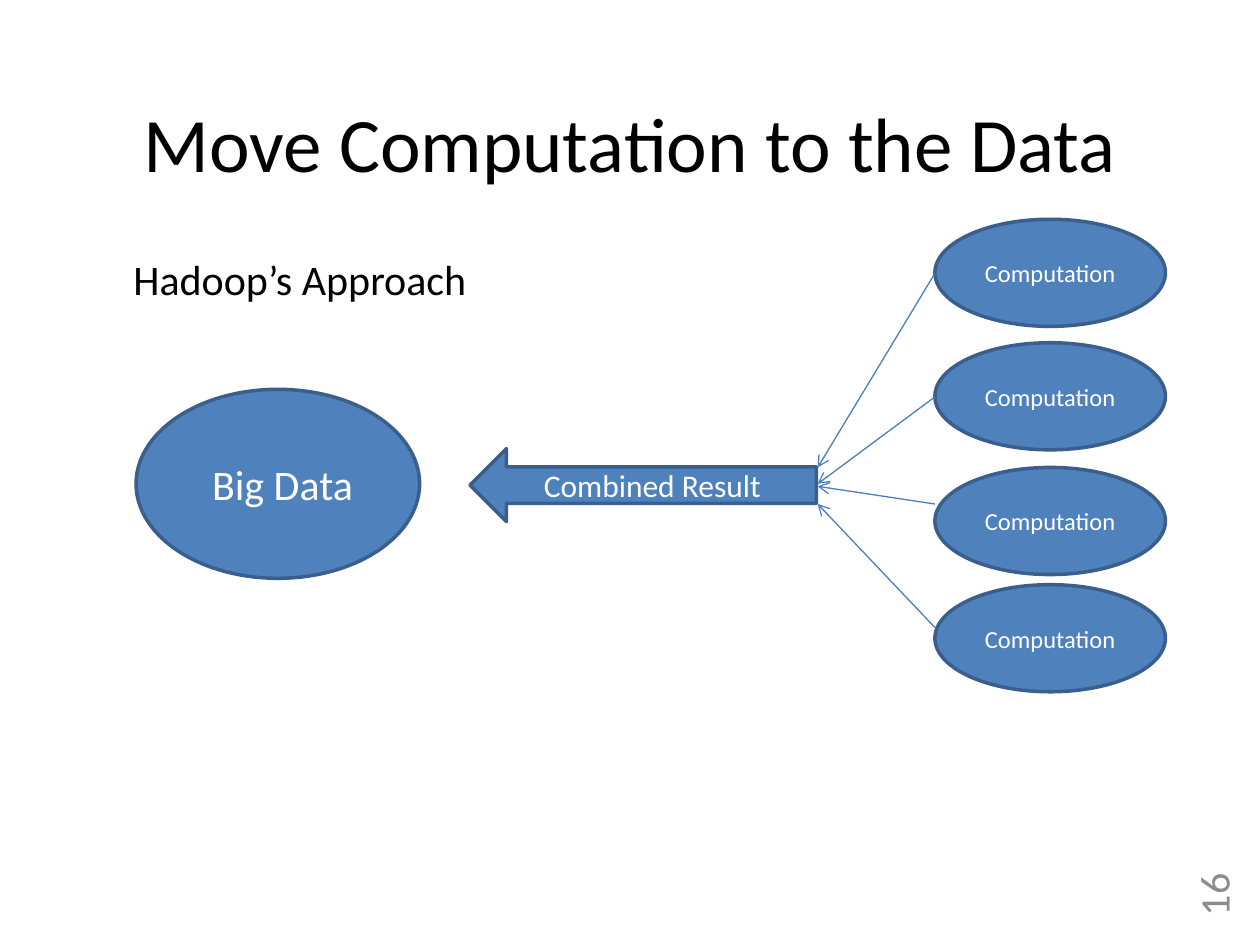
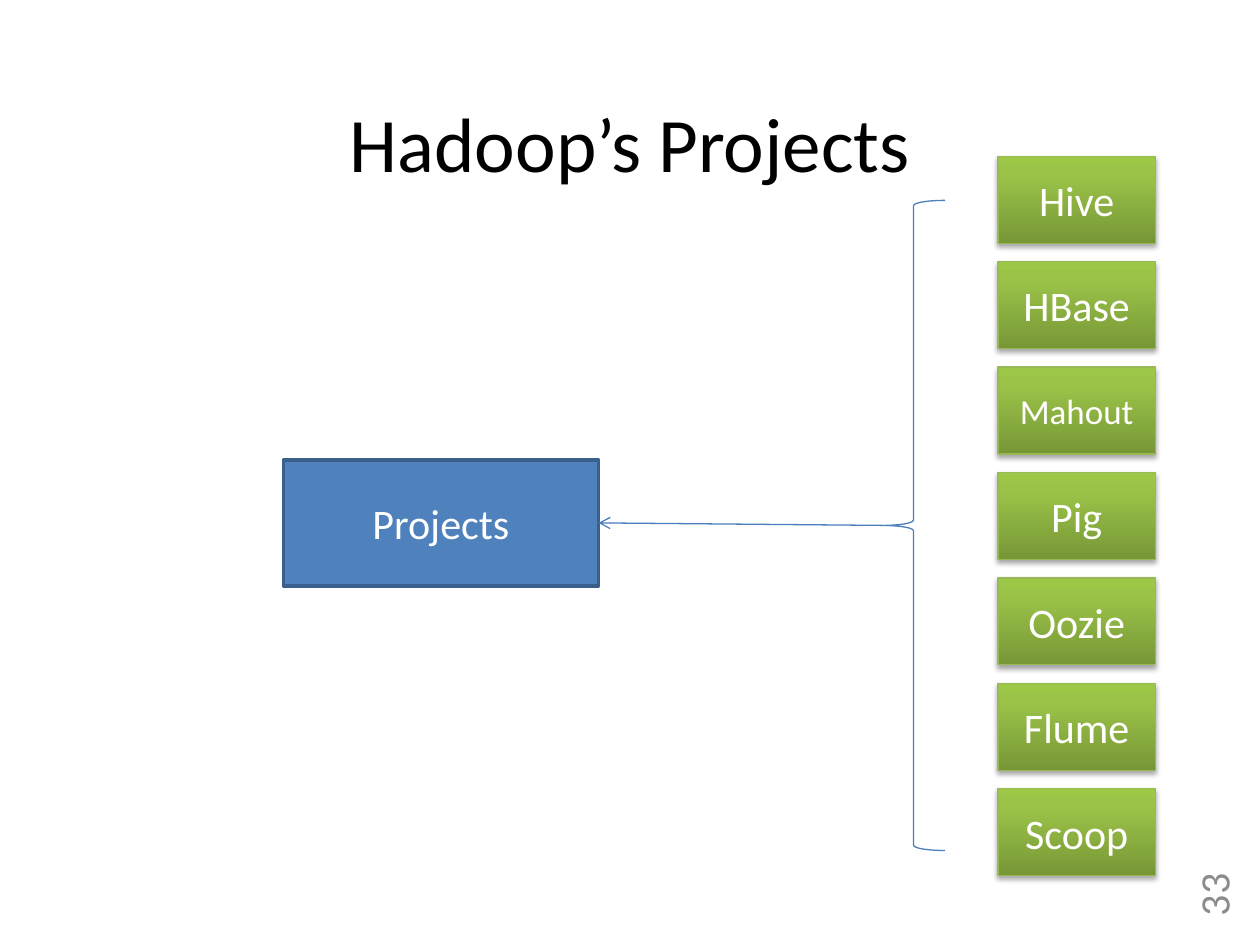
import pptx
import pptx.util
import pptx.dml.color
import pptx.enum.shapes
import pptx.enum.text
import pptx.oxml
import pptx.oxml.ns

Inches = pptx.util.Inches
Pt = pptx.util.Pt
RGBColor = pptx.dml.color.RGBColor
SHAPE = pptx.enum.shapes.MSO_SHAPE
ALIGN = pptx.enum.text.PP_ALIGN

FONT = "Calibri"
BLACK = RGBColor(0x00, 0x00, 0x00)
WHITE = RGBColor(0xFF, 0xFF, 0xFF)
GRAY = RGBColor(0x8C, 0x8C, 0x8C)
BLUE = RGBColor(0x4F, 0x81, 0xBD)
BLUE_EDGE = RGBColor(0x3A, 0x5F, 0x8C)
BLUE_LINE = RGBColor(0x4B, 0x7E, 0xBC)
GREEN_EDGE = RGBColor(0x98, 0xB9, 0x55)
GREEN_STOPS = [
    (0, RGBColor(0x77, 0x97, 0x37)),
    (80, RGBColor(0x9B, 0xC3, 0x48)),
    (100, RGBColor(0x9D, 0xC7, 0x46)),
]

APPROACH = {"title": "Move Computation to the Data", "number": "16"}
SUBTITLE = "Hadoop’s Approach"
DATA = " Big Data"
RESULT = "Combined Result"
WORKER = "Computation"
WORKER_LEFT = 7.42
WORKER_TOPS = [1.74, 2.72, 3.71, 4.64]
RESULT_EDGE = 6.49
WORKER_ARROWS = [(2.17, 3.71), (3.15, 3.84), (4, 3.86), (4.98, 4)]

PROJECTS = {"title": "Hadoop’s Projects", "number": "33"}
HUB = "Projects"
TOOLS = [("Hive", 24), ("HBase", 24), ("Mahout", 20), ("Pig", 24),
         ("Oozie", 24), ("Flume", 24), ("Scoop", 24)]
TOOLS_TOP, TOOLS_LAST = 1.24, 6.26


def xml(body):
    return pptx.oxml.parse_xml(body.replace(">", " " + pptx.oxml.ns.nsdecls("a") + ">", 1))


def write(sp, text, size, color, align=ALIGN.CENTER):
    tf = sp.text_frame
    tf.word_wrap = True
    tf.vertical_anchor = pptx.enum.text.MSO_ANCHOR.MIDDLE
    p = tf.paragraphs[0]
    p.alignment = align
    r = p.add_run()
    r.text = text
    r.font.name = FONT
    r.font.size = Pt(size)
    r.font.color.rgb = color


def add_text(s, box, text, size, color=BLACK, align=ALIGN.CENTER):
    sp = s.shapes.add_textbox(*map(Inches, box))
    write(sp, text, size, color, align)
    return sp


def add_shape(s, kind, box, edge, width):
    sp = s.shapes.add_shape(kind, *map(Inches, box))
    sp.shadow.inherit = False
    sp.line.color.rgb = edge
    sp.line.width = Pt(width)
    return sp


def add_blue(s, kind, box, text, size):
    sp = add_shape(s, kind, box, BLUE_EDGE, 2)
    sp.fill.solid()
    sp.fill.fore_color.rgb = BLUE
    write(sp, text, size, WHITE)
    return sp


def add_tool(s, box, text, size):
    sp = add_shape(s, SHAPE.RECTANGLE, box, GREEN_EDGE, 0.75)
    stops = "".join(f'<a:gs pos="{pos * 1000}"><a:srgbClr val="{color}"/></a:gs>'
                    for pos, color in GREEN_STOPS)
    props = sp._element.spPr
    props.find(pptx.oxml.ns.qn("a:ln")).addprevious(xml(
        f'<a:gradFill><a:gsLst>{stops}</a:gsLst>'
        '<a:lin ang="16200000" scaled="0"/></a:gradFill>'))
    props.find(pptx.oxml.ns.qn("a:effectLst")).append(xml(
        f'<a:outerShdw blurRad="{Pt(3.1)}" dist="{Pt(1.8)}" dir="5400000" rotWithShape="0">'
        '<a:srgbClr val="000000"><a:alpha val="35000"/></a:srgbClr></a:outerShdw>'))
    write(sp, text, size, WHITE)


def add_arrow(s, start, end):
    line = s.shapes.add_connector(pptx.enum.shapes.MSO_CONNECTOR.STRAIGHT,
                                  *map(Inches, start + end))
    line.line.color.rgb = BLUE_LINE
    line.line.width = Pt(0.75)
    line.line._get_or_add_ln().append(xml('<a:tailEnd type="arrow"></a:tailEnd>'))
    line._element.spPr.append(xml("<a:effectLst></a:effectLst>"))
    return line


def add_slide(prs, heading):
    s = prs.slides.add_slide(prs.slide_layouts[6])
    add_text(s, (0.5, 0.5, 9, 1.25), heading["title"], 44)
    number = add_text(s, (9.29, 6.96, 0.67, 0.42), heading["number"], 24, GRAY, ALIGN.RIGHT)
    number.rotation = 270
    return s


def build_approach(prs):
    s = add_slide(prs, APPROACH)
    add_text(s, (0.47, 1.84, 3.82, 0.75), SUBTITLE, 24)
    add_blue(s, SHAPE.OVAL, (1.08, 3.09, 2.25, 1.5), DATA, 24)
    add_blue(s, SHAPE.LEFT_ARROW, (3.73, 3.56, 2.75, 0.58), RESULT, 18)
    for top in WORKER_TOPS:
        add_blue(s, SHAPE.OVAL, (WORKER_LEFT, top, 1.83, 0.85), WORKER, 14)
    for start, end in WORKER_ARROWS:
        add_arrow(s, (WORKER_LEFT, start), (RESULT_EDGE, end))


def build_projects(prs):
    s = add_slide(prs, PROJECTS)
    hub = add_blue(s, SHAPE.RECTANGLE, (2.25, 3.65, 2.5, 1), HUB, 24)
    pitch = (TOOLS_LAST - TOOLS_TOP) / (len(TOOLS) - 1)
    for i, (name, size) in enumerate(TOOLS):
        add_tool(s, (7.92, TOOLS_TOP + i * pitch, 1.25, 0.69), name, size)
    brace = add_shape(s, SHAPE.RIGHT_BRACE, (7, 1.59, 0.5, 5.16), BLUE_LINE, 0.75)
    brace.fill.background()
    brace.rotation = 180
    add_arrow(s, (7, 4.17), (4.75, 4.15)).end_connect(hub, 3)


def main():
    prs = pptx.Presentation()
    prs.slide_width = Inches(10)
    prs.slide_height = Inches(7.5)
    build_approach(prs)
    build_projects(prs)
    prs.save("out.pptx")


if __name__ == "__main__":
    main()
